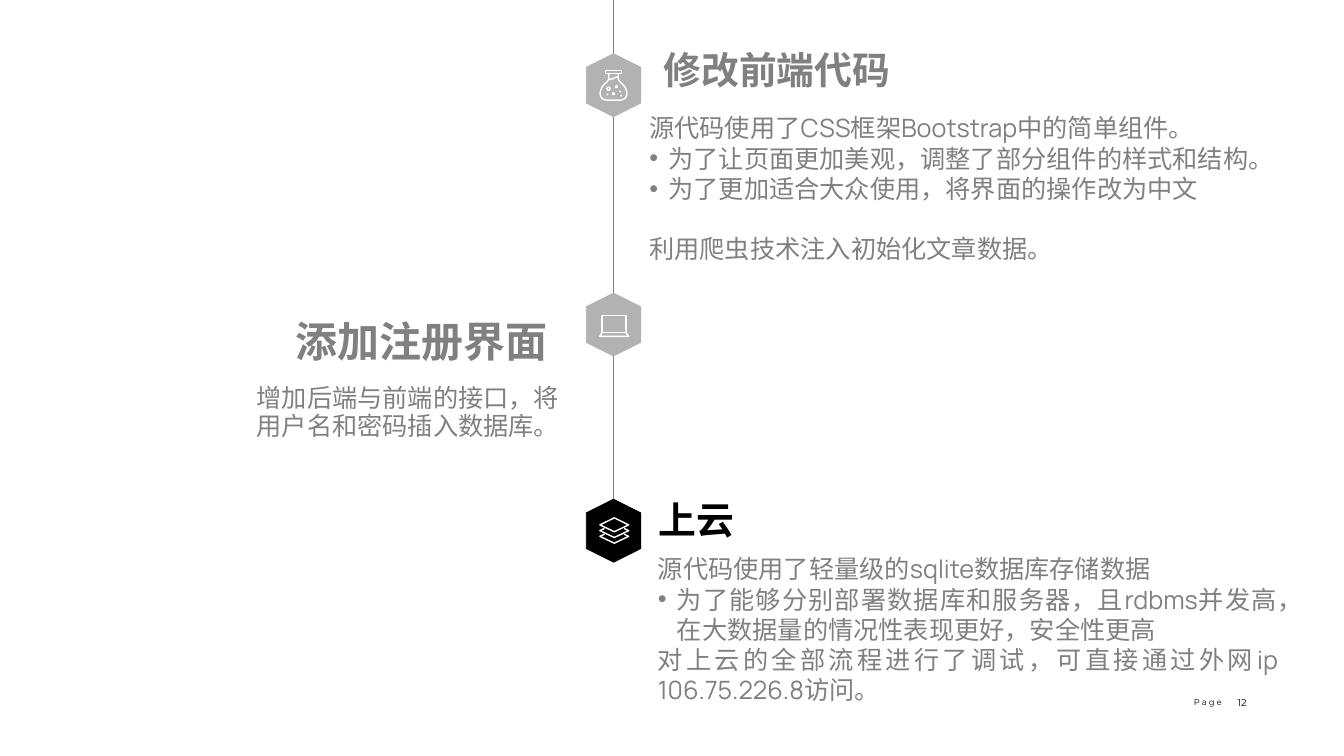
"""Build the project timeline slide with three steps on a vertical axis."""
from dataclasses import dataclass

from lxml.etree import SubElement
from pptx import Presentation
from pptx.dml.color import RGBColor
from pptx.enum.lang import MSO_LANGUAGE_ID
from pptx.enum.shapes import MSO_CONNECTOR, MSO_SHAPE
from pptx.enum.text import MSO_ANCHOR, MSO_AUTO_SIZE, PP_ALIGN
from pptx.oxml.ns import qn
from pptx.util import Emu, Inches, Pt

WIDE, HIGH = Inches(26.66), Inches(15)
AXIS = 45.65
HANG = Inches(0.38)
COLORS = {"dark": "000000", "mid": "808080", "soft": "B2B2B2",
          "rule": "7F7F7F", "white": "FFFFFF"}
Point = tuple[float, float]


@dataclass
class Box:
    left: float
    top: float
    width: float
    height: float

    def place(self) -> tuple[Emu, Emu, Emu, Emu]:
        return (col(self.left), row(self.top), col(self.width), row(self.height))


@dataclass
class Style:
    size: float
    color: str = "mid"
    bold: bool = False
    align: PP_ALIGN = PP_ALIGN.LEFT
    font: str = "Manrope"
    anchor: MSO_ANCHOR = MSO_ANCHOR.MIDDLE
    inset: tuple[float, float] = (0.1, 0.05)
    wrap: bool = True
    lead: float = 0
    track: int = 0


@dataclass
class Line:
    text: str
    dot: bool = False
    gap: float = 0


@dataclass
class Block:
    box: Box
    style: Style
    lines: list[Line]
    slot: int | None = None


@dataclass
class Stroke:
    points: list[Point]
    closed: bool = False


@dataclass
class Step:
    row: float
    color: str
    strokes: list[Stroke]


def col(share: float) -> Emu:
    return Emu(round(WIDE * share / 100))


def row(share: float) -> Emu:
    return Emu(round(HIGH * share / 100))


def tint(name: str) -> RGBColor:
    return RGBColor.from_string(COLORS[name])


def curve(a: Point, b: Point, c: Point, d: Point, count: int = 12) -> list[Point]:
    steps = [n / count for n in range(count + 1)]
    return [tuple((1 - t) ** 3 * p + 3 * t * (1 - t) ** 2 * q + 3 * t * t * (1 - t) * r + t ** 3 * s
                  for p, q, r, s in zip(a, b, c, d)) for t in steps]


def write(slide, block: Block) -> None:
    style, place = block.style, block.box.place()
    if block.slot is None:
        shape = slide.shapes.add_textbox(*place)
    else:
        shape = slide.placeholders[block.slot]
        shape.left, shape.top, shape.width, shape.height = place
    frame = shape.text_frame
    frame.text = "\n".join(line.text for line in block.lines)
    frame.word_wrap = style.wrap
    frame.auto_size = MSO_AUTO_SIZE.NONE
    frame.vertical_anchor = style.anchor
    frame.margin_left = frame.margin_right = Inches(style.inset[0])
    frame.margin_top = frame.margin_bottom = Inches(style.inset[1])
    for para, line in zip(frame.paragraphs, block.lines):
        para.alignment = style.align
        para.line_spacing = Pt(style.lead) if style.lead else 1.0
        para.space_before = Pt(line.gap)
        props = para._p.get_or_add_pPr()
        props.set("marL", str(HANG if line.dot else 0))
        props.set("indent", str(-HANG if line.dot else 0))
        if line.dot:
            SubElement(props, qn("a:buFont")).set("typeface", "Arial")
            SubElement(props, qn("a:buChar")).set("char", "•")
        else:
            SubElement(props, qn("a:buNone"))
        for run in para.runs:
            font = run.font
            font.name, font.size, font.bold = style.font, Pt(style.size), style.bold
            font.color.rgb = tint(style.color)
            font.language_id = MSO_LANGUAGE_ID.SIMPLIFIED_CHINESE
            if style.track:
                run._r.get_or_add_rPr().set("spc", str(style.track * 100))


def paint(shape, fill: str | None, line: str, width: float) -> None:
    shape.shadow.inherit = False
    if fill:
        shape.fill.solid()
        shape.fill.fore_color.rgb = tint(fill)
    else:
        shape.fill.background()
    shape.line.color.rgb = tint(line)
    shape.line.width = Pt(width)


def mark(slide, step: Step) -> None:
    x, y = col(AXIS), row(step.row)
    wide, high = Inches(1.25), Inches(1.08)
    hexagon = slide.shapes.add_shape(MSO_SHAPE.HEXAGON, x - wide // 2, y - high // 2, wide, high)
    hexagon.rotation = 90
    paint(hexagon, step.color, step.color, 1)
    first, *rest = step.strokes
    pen = slide.shapes.build_freeform(*first.points[0], scale=914.4)
    pen.add_line_segments(first.points[1:], close=first.closed)
    for stroke in rest:
        pen.move_to(*stroke.points[0])
        pen.add_line_segments(stroke.points[1:], close=stroke.closed)
    paint(pen.convert_to_shape(x, y), None, "white", 2)


def ring(x: float, y: float, size: float) -> Stroke:
    bend = size * 4 / 3
    upper = curve((x - size, y), (x - size, y - bend), (x + size, y - bend), (x + size, y))
    lower = curve((x + size, y), (x + size, y + bend), (x - size, y + bend), (x - size, y))
    return Stroke(upper + lower[1:], True)


def flask() -> list[Stroke]:
    side = [(-95, -230), *curve((-95, -130), (-95, -50), (-265, -10), (-265, 170)),
            *curve((-265, 170), (-265, 290), (-140, 295), (-140, 295))]
    other = [(-x, y) for x, y in reversed(side)]
    lip = [(-155, -290), (155, -290), (155, -235), (-155, -235)]
    wave = curve((-95, -125), (-20, -95), (20, -165), (95, -165))
    drops = [(0, 170, 16), (60, 30, 16), (130, 125, 5), (150, 210, 5),
             (-120, 185, 5), (-100, 70, 30)]
    return [Stroke(side + other), Stroke(lip, True), Stroke(wave), *(ring(*d) for d in drops)]


def laptop() -> list[Stroke]:
    screen = [(-225, -180), (245, -180), (245, 155), (-225, 155)]
    base = [(-225, 155), (-275, 235), (300, 235), (245, 155)]
    return [Stroke(screen, True), Stroke(base)]


def layers() -> list[Stroke]:
    top = [(15, -255), (300, -115), (15, 20), (-270, -115)]
    edge = [(-180, -45), (-270, 0), (15, 135), (300, 0), (210, -45)]
    return [Stroke(top, True), *(Stroke([(x, y + drop) for x, y in edge]) for drop in (0, 113))]


BODY = Style(36, align=PP_ALIGN.JUSTIFY)
NOTE = Style(36, anchor=MSO_ANCHOR.TOP, inset=(0.24, 0.12), lead=40.4)
FOOT = Style(12, "dark", align=PP_ALIGN.CENTER, font="Montserrat", inset=(0, 0),
             wrap=False, track=3)
PAGE = Style(14, "dark", align=PP_ALIGN.CENTER, font="Montserrat", inset=(0, 0), wrap=False)
STEPS = [Step(11.27, "soft", flask()), Step(42.93, "soft", laptop()),
         Step(70.2, "dark", layers())]
BLOCKS = [
    Block(Box(48.99, 5.87, 23.14, 6.73), Style(54, bold=True), [Line("修改前端代码")], 0),
    Block(Box(47.94, 14.47, 47.64, 20.87), BODY, [
        Line("源代码使用了CSS框架Bootstrap中的简单组件。"),
        Line("为了让页面更加美观，调整了部分组件的样式和结构。", True),
        Line("为了更加适合大众使用，将界面的操作改为中文", True),
        Line("利用爬虫技术注入初始化文章数据。", gap=43)], 2),
    Block(Box(21.42, 41.33, 19.69, 7.4), Style(60, bold=True, align=PP_ALIGN.RIGHT),
          [Line("添加注册界面")], 1),
    Block(Box(18.19, 50, 25.28, 9.07), NOTE,
          [Line("增加后端与前端的接口，将用户名和密码插入数据库。")]),
    Block(Box(48.61, 65.27, 6.45, 6.73), Style(54, "dark", True), [Line("上云")], 3),
    Block(Box(48.57, 72.8, 46.89, 20.87), BODY, [
        Line("源代码使用了轻量级的sqlite数据库存储数据"),
        Line("为了能够分别部署数据库和服务器，且rdbms并发高，在大数据量的情况性表现更好，安全性更高", True),
        Line("对上云的全部流程进行了调试，可直接通过外网ip 106.75.226.8访问。")], 4),
    Block(Box(88.78, 92.27, 2.18, 1.33), FOOT, [Line("Page")]),
    Block(Box(91.33, 92.27, 2.18, 1.33), PAGE, [Line("12")]),
]


def main() -> None:
    deck = Presentation()
    deck.slide_width, deck.slide_height = WIDE, HIGH
    slide = deck.slides.add_slide(deck.slide_layouts[4])
    axis = slide.shapes.add_connector(MSO_CONNECTOR.STRAIGHT, col(AXIS), 0, col(AXIS), row(74.4))
    axis.line.color.rgb = tint("rule")
    axis.line.width = Pt(0.5)
    SubElement(axis._element.spPr, qn("a:effectLst"))
    for step in STEPS:
        mark(slide, step)
    for block in BLOCKS:
        write(slide, block)
    deck.save("out.pptx")


if __name__ == "__main__":
    main()
